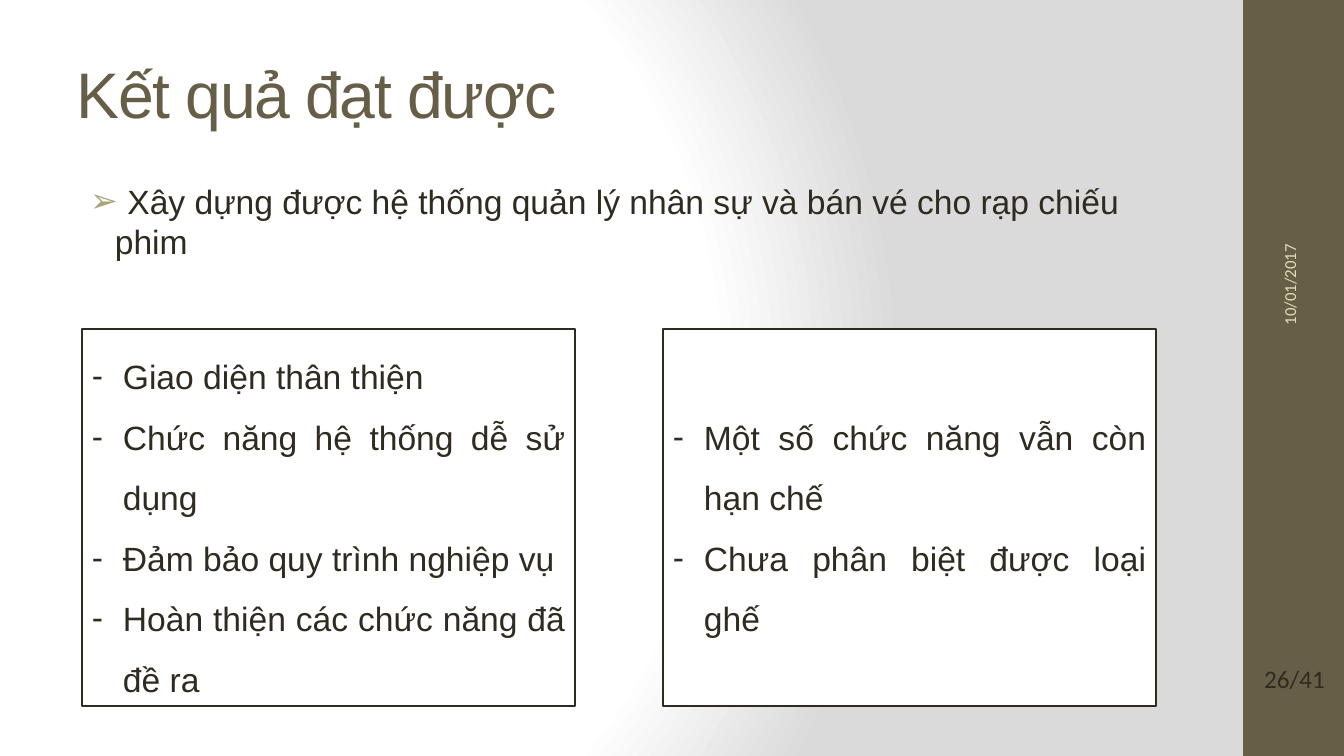
from dataclasses import dataclass

from lxml.etree import SubElement
from pptx import Presentation
from pptx.dml.color import RGBColor
from pptx.enum.shapes import MSO_SHAPE as Preset
from pptx.enum.text import MSO_ANCHOR as Anchor, PP_ALIGN as Align
from pptx.oxml.ns import qn
from pptx.util import Pt

SLIDE_W, SLIDE_H = 1344, 756
EMU_PER_PX = 12192000 / SLIDE_W


@dataclass(frozen=True)
class Theme:
    olive: str = "675E47"
    ink: str = "2F2B20"
    bullet: str = "A9A57C"
    date: str = "DFDCB7"
    white: str = "FFFFFF"
    grey: str = "DADADA"
    text_font: str = "Arial"
    margin_font: str = "Calibri"
    title_size: int = 46
    body_size: int = 24
    page_size: int = 18
    date_size: int = 12


THEME = Theme()

ACHIEVED = [
    "Giao diện thân thiện",
    "Chức năng hệ thống dễ sử dụng",
    "Đảm bảo quy trình nghiệp vụ",
    "Hoàn thiện các chức năng đã đề ra",
]
LIMITS = [
    "Một số chức năng vẫn còn hạn chế",
    "Chưa phân biệt được loại ghế",
]


def px(value):
    return round(value * EMU_PER_PX)


def rgb(value):
    return RGBColor.from_string(value)


def paint_background(slide):
    """Radial gradient from white to grey."""
    slide.background.fill.gradient()
    gradient = slide.element.find(".//" + qn("a:gradFill"))
    for child in list(gradient):
        gradient.remove(child)
    stops = SubElement(gradient, qn("a:gsLst"))
    for percent, color in [(0, THEME.white), (75, THEME.white), (100, THEME.grey)]:
        stop = SubElement(stops, qn("a:gs"), pos=str(percent * 1000))
        SubElement(stop, qn("a:srgbClr"), val=color)
    path = SubElement(gradient, qn("a:path"), {"path": "circle"})
    SubElement(path, qn("a:fillToRect"), l="20000", t="50000", r="100000", b="50000")


def add_panel(slide, left, top, width, height, fill, border=None):
    panel = slide.shapes.add_shape(
        Preset.RECTANGLE, px(left), px(top), px(width), px(height))
    panel.shadow.inherit = False
    panel.fill.solid()
    panel.fill.fore_color.rgb = rgb(fill)
    if border:
        panel.line.color.rgb = rgb(border)
        panel.line.width = Pt(2)
    else:
        panel.line.fill.background()
    return panel


def write(frame, lines, size, color, font, anchor=Anchor.MIDDLE, align=Align.LEFT):
    frame.word_wrap = True
    frame.vertical_anchor = anchor
    frame.text = "\n".join(lines)
    for paragraph in frame.paragraphs:
        paragraph.alignment = align
        for run in paragraph.runs:
            run.font.size = Pt(size)
            run.font.name = font
            run.font.color.rgb = rgb(color)


def add_text(slide, left, top, width, height, text, size, color, font, **layout):
    box = slide.shapes.add_textbox(px(left), px(top), px(width), px(height))
    write(box.text_frame, [text], size, color, font, **layout)
    return box


def add_bullet(paragraph, mark, color, margin, hanging):
    properties = paragraph._p.get_or_add_pPr()
    properties.set("marL", str(px(margin)))
    properties.set("indent", str(-px(hanging)))
    bullet_color = SubElement(properties, qn("a:buClr"))
    SubElement(bullet_color, qn("a:srgbClr"), val=color)
    SubElement(properties, qn("a:buFont"), typeface=THEME.text_font)
    SubElement(properties, qn("a:buChar"), char=mark)


def add_list_panel(slide, left, items):
    panel = add_panel(slide, left, 329, 493, 377, THEME.white, THEME.ink)
    write(panel.text_frame, items, THEME.body_size, THEME.ink, THEME.text_font,
          align=Align.JUSTIFY)
    for paragraph in panel.text_frame.paragraphs:
        paragraph.line_spacing = 1.5
        add_bullet(paragraph, "-", THEME.ink, margin=31, hanging=31)


def main():
    deck = Presentation()
    deck.slide_width, deck.slide_height = px(SLIDE_W), px(SLIDE_H)
    slide = deck.slides.add_slide(deck.slide_layouts[6])

    # Background and side band
    paint_background(slide)
    add_panel(slide, 1243, 0, 101, SLIDE_H, THEME.olive)

    # Title
    title = add_text(slide, 67, 30, 1120, 126, "Kết quả đạt được",
                     THEME.title_size, THEME.olive, THEME.text_font)
    title_run = title.text_frame.paragraphs[0].runs[0]
    title_run.font._element.set("spc", "-100")

    # Main result
    result = add_text(
        slide, 67, 176, 1120, 529,
        " Xây dựng được hệ thống quản lý nhân sự và bán vé cho rạp chiếu phim",
        THEME.body_size, THEME.ink, THEME.text_font, anchor=Anchor.TOP)
    statement = result.text_frame.paragraphs[0]
    statement.space_before = Pt(5)
    add_bullet(statement, "➢", THEME.bullet, margin=38, hanging=25)

    # Achievements and limits
    for column, items in enumerate([ACHIEVED, LIMITS]):
        add_list_panel(slide, 82 + column * 581, items)

    # Date and page number on the band
    date = add_text(slide, 1155, 174, 269, 53, "10/01/2017",
                    THEME.date_size, THEME.date, THEME.margin_font)
    date.rotation = 270
    add_text(slide, 1243, 649, 92, 59, "26/41", THEME.page_size, THEME.ink,
             THEME.margin_font, align=Align.RIGHT)

    deck.save("out.pptx")


if __name__ == "__main__":
    main()
